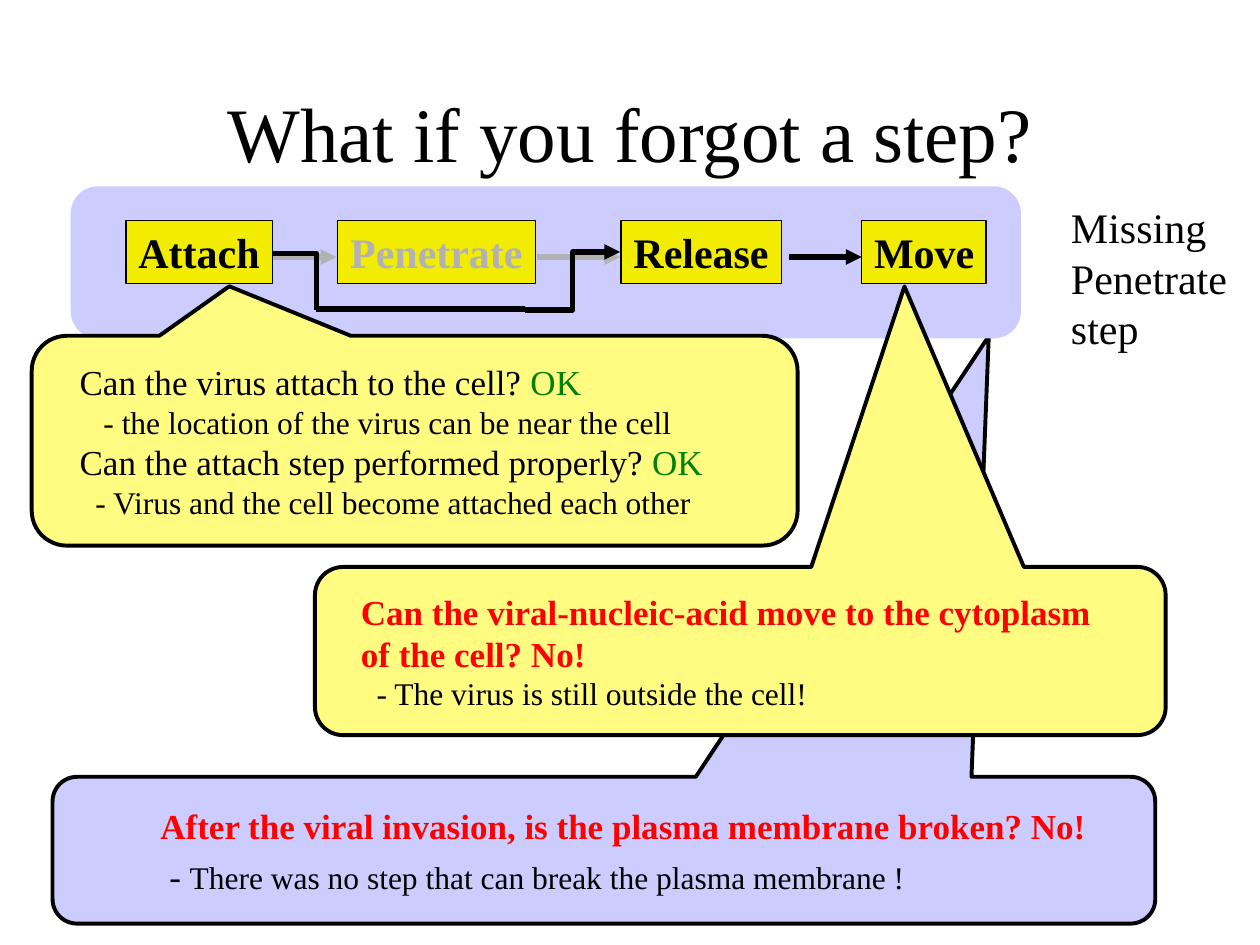
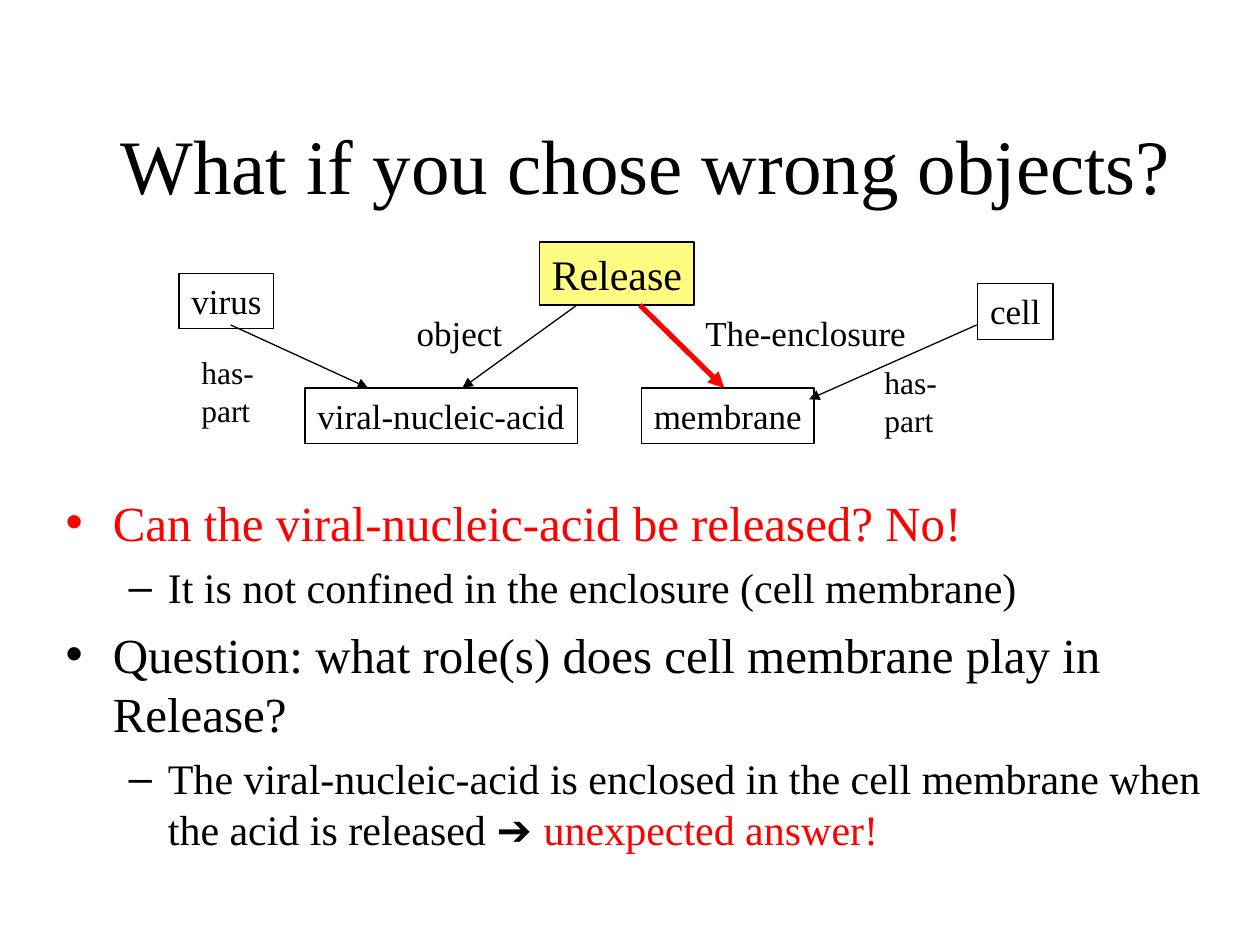
"""Build two slides about missing steps and wrong objects in a virus model."""
import pptx
import pptx.dml.color
import pptx.enum.shapes
import pptx.enum.text
import pptx.oxml.ns
import pptx.util
from lxml import etree
from pptx.util import Cm

RGBColor = pptx.dml.color.RGBColor
SHAPE = pptx.enum.shapes.MSO_SHAPE
LINK = pptx.enum.shapes.MSO_CONNECTOR
ALIGN = pptx.enum.text.PP_ALIGN
ANCHOR = pptx.enum.text.MSO_ANCHOR
qn = pptx.oxml.ns.qn

BLACK = RGBColor(0x00, 0x00, 0x00)
RED = RGBColor(0xFF, 0x00, 0x00)
GREEN = RGBColor(0x00, 0x80, 0x00)
GREY = RGBColor(0xB2, 0xB2, 0xB2)
LILAC = RGBColor(0xCC, 0xCC, 0xFF)
YELLOW = RGBColor(0xF2, 0xEC, 0x00)
CREAM = RGBColor(0xFF, 0xFC, 0x81)
FONT = "Times New Roman"


class Deck:
    def __init__(self):
        self.prs = pptx.Presentation()
        self.prs.slide_width, self.prs.slide_height = Cm(25.4), Cm(19.05)

    def slide(self, layout, title, box):
        self.s = self.prs.slides.add_slide(self.prs.slide_layouts[layout])
        self.shapes = self.s.shapes
        tf = self.place(self.s.shapes.title, box)
        tf.vertical_anchor = ANCHOR.MIDDLE
        self.para(tf, [(title, BLACK, 44)], align=ALIGN.CENTER)

    def place(self, sp, box):
        sp.left, sp.top, sp.width, sp.height = map(Cm, box)
        sp.text_frame.auto_size = pptx.enum.text.MSO_AUTO_SIZE.NONE
        return sp.text_frame

    def body(self, box):
        return self.place(self.s.placeholders[1], box)

    def group(self):
        self.shapes = self.s.shapes.add_group_shape().shapes

    def ungroup(self):
        self.shapes = self.s.shapes

    def para(self, tf, runs, bold=False, align=ALIGN.LEFT, before=0, indent=0,
             hang=0, level=0, bullet=None):
        p = tf.paragraphs[0] if not tf.paragraphs[0].runs else tf.add_paragraph()
        p.alignment, p.level = align, level
        p.space_before = pptx.util.Pt(before)
        pPr = p._p.get_or_add_pPr()
        pPr.set("marL", str(Cm(indent)))
        pPr.set("indent", str(-Cm(hang)))
        if bullet:
            clr = etree.SubElement(pPr, qn("a:buClr"))
            etree.SubElement(clr, qn("a:srgbClr")).set("val", str(runs[0][1]))
            etree.SubElement(pPr, qn("a:buChar")).set("char", bullet)
        for text, color, size, *font in runs:
            r = p.add_run()
            r.text = text
            r.font.name = font[0] if font else FONT
            r.font.size = pptx.util.Pt(size)
            r.font.bold = bold
            r.font.color.rgb = color

    def shape(self, kind, box, fill=None, line=BLACK, width=0.75, adj=()):
        sp = self.shapes.add_shape(kind, *map(Cm, box))
        sp.shadow.inherit = False
        if fill is None:
            sp.fill.background()
        else:
            sp.fill.solid()
            sp.fill.fore_color.rgb = fill
        sp.line.color.rgb = line
        sp.line.width = pptx.util.Pt(width)
        for i, value in enumerate(adj):
            sp.adjustments[i] = value
        return sp

    def box(self, text, box, fill=None, size=20, color=BLACK, bold=False):
        tf = self.shape(SHAPE.RECTANGLE, box, fill).text_frame
        tf.word_wrap = False
        tf.vertical_anchor = ANCHOR.TOP
        self.para(tf, [(text, color, size)], bold=bold)

    def label(self, lines, box, size=20):
        tf = self.shapes.add_textbox(*map(Cm, box)).text_frame
        tf.word_wrap = False
        for line in lines:
            self.para(tf, [(line, BLACK, size)])

    def callout(self, box, fill, tip):
        sp = self.shape(SHAPE.ROUNDED_RECTANGULAR_CALLOUT, box, fill,
                        width=2.25, adj=(*tip, 0.167))
        tf = sp.text_frame
        tf.word_wrap = True
        tf.vertical_anchor = ANCHOR.MIDDLE
        tf.margin_left = Cm(0.76)
        tf.margin_top = tf.margin_right = tf.margin_bottom = 0
        return tf

    def link(self, start, end, color=BLACK, width=0.75, kind=LINK.STRAIGHT,
             arrow=True, preset=None):
        sp = self.shapes.add_connector(kind, *map(Cm, (*start, *end)))
        sp.line.color.rgb = color
        sp.line.width = pptx.util.Pt(width)
        spPr = sp._element.spPr
        if preset:
            spPr.find(qn("a:prstGeom")).set("prst", preset)
        if arrow:
            tail = etree.SubElement(spPr.find(qn("a:ln")), qn("a:tailEnd"))
            tail.set("type", "triangle")
        etree.SubElement(spPr, qn("a:effectLst"))


def missing_step(deck):
    deck.slide(5, "What if you forgot a step?", (1.91, 1.07, 21.59, 3.18))

    tf = deck.callout((1.06, 15.66, 22.23, 2.96), LILAC, (0.349, -3.501))
    deck.para(tf, [("After the viral invasion, is the plasma membrane broken? No!",
                    RED, 20)], bold=True, indent=1.27)
    deck.para(tf, [("- ", BLACK, 20),
                   ("There was no step that can break the plasma membrane !",
                    BLACK, 18)], before=4.5, indent=1.45)

    deck.group()
    deck.shape(SHAPE.ROUNDED_RECTANGLE, (1.48, 3.81, 19.05, 2.96), LILAC,
               LILAC, 3, (0.167,))
    for step, x, width, color in (("Attach", 2.54, 2.95, BLACK),
                                  ("Penetrate", 6.81, 3.99, GREY),
                                  ("Release", 12.52, 3.23, BLACK),
                                  ("Move", 17.37, 2.51, BLACK)):
        deck.box(step, (x, 4.45, width, 1.27), YELLOW, 24, color, True)
    for x1, x2, color in ((5.51, 6.78, GREY), (10.82, 12.5, GREY),
                          (15.9, 17.37, BLACK)):
        deck.link((x1, 5.18), (x2, 5.18), color, 3)
    deck.link((5.49, 5.11), (6.38, 6.25), width=3, kind=LINK.ELBOW,
              arrow=False, preset="bentConnector2")
    deck.link((10.59, 6.25), (12.5, 5.08), width=3, kind=LINK.ELBOW)
    deck.link((6.38, 6.23), (10.59, 6.23), width=3, arrow=False)
    deck.ungroup()

    tf = deck.callout((0.64, 6.77, 15.44, 4.23), CREAM, (-0.242, -0.736))
    for question, reason, indent in (
            ("Can the virus attach to the cell? ",
             "- the location of the virus can be near the cell", 0.48),
            ("Can the attach step performed properly? ",
             "- Virus and the cell become attached each other", 0.32)):
        deck.para(tf, [(question, BLACK, 20), ("OK", GREEN, 20)])
        deck.para(tf, [(reason, BLACK, 18)], indent=indent)

    tf = deck.callout((6.35, 11.43, 17.15, 3.39), CREAM, (0.193, -2.168))
    for line in ("Can the viral-nucleic-acid move to the cytoplasm",
                 "of the cell? No!"):
        deck.para(tf, [(line, RED, 20)], bold=True)
    deck.para(tf, [("- The virus is still outside the cell!", BLACK, 18)],
              indent=0.32)

    deck.label(("Missing", "Penetrate", "step"), (21.34, 3.94, 3.66, 3.3), 24)


def wrong_objects(deck):
    deck.slide(1, "What if you chose wrong objects?", (1.91, 1.7, 22.23, 3.18))

    deck.box("Release", (10.87, 4.88, 3.12, 1.27), CREAM, 24)
    for name, x, y, width in (("viral-nucleic-acid", 6.15, 7.82, 5.49),
                              ("virus", 3.61, 5.51, 1.9),
                              ("membrane", 12.93, 7.82, 3.48),
                              ("cell", 19.71, 5.72, 1.52)):
        deck.box(name, (x, y, width, 1.12))
    for role, x, y, width, size in (("The-enclosure", 13.97, 6.15, 4.55, 20),
                                    ("object", 8.15, 6.15, 2.24, 20),
                                    ("has-part", 3.81, 6.99, 2.54, 18),
                                    ("has-part", 17.58, 7.19, 2.54, 18)):
        deck.label((role,), (x, y, width, 1.1), size)
    deck.link((12.9, 6.15), (14.6, 7.82), RED, 3)
    for start, end in (((11.63, 6.15), (9.32, 7.82)),
                       ((4.65, 6.55), (7.42, 7.82)),
                       ((19.69, 6.55), (16.31, 8.05))):
        deck.link(start, end)

    tf = deck.body((1.07, 9.8, 23.7, 7.62))
    point = dict(indent=0.95, hang=0.95, bullet="•")
    detail = dict(indent=2.06, hang=0.79, bullet="–", level=1, before=6)
    deck.para(tf, [("Can the viral-nucleic-acid be released? No!", RED, 28)],
              **point)
    deck.para(tf, [("It is not confined in the enclosure (cell membrane)",
                    BLACK, 24)], **detail)
    deck.para(tf, [("Question: what role(s) does cell membrane play in Release?",
                    BLACK, 28)], before=7, **point)
    deck.para(tf, [("The viral-nucleic-acid is enclosed in the cell membrane "
                    "when the acid is released ", BLACK, 24),
                   ("➔ ", BLACK, 24, "Arial"),
                   ("unexpected answer!", RED, 24)], **detail)


def main():
    deck = Deck()
    missing_step(deck)
    wrong_objects(deck)
    deck.prs.save("out.pptx")


if __name__ == "__main__":
    main()
